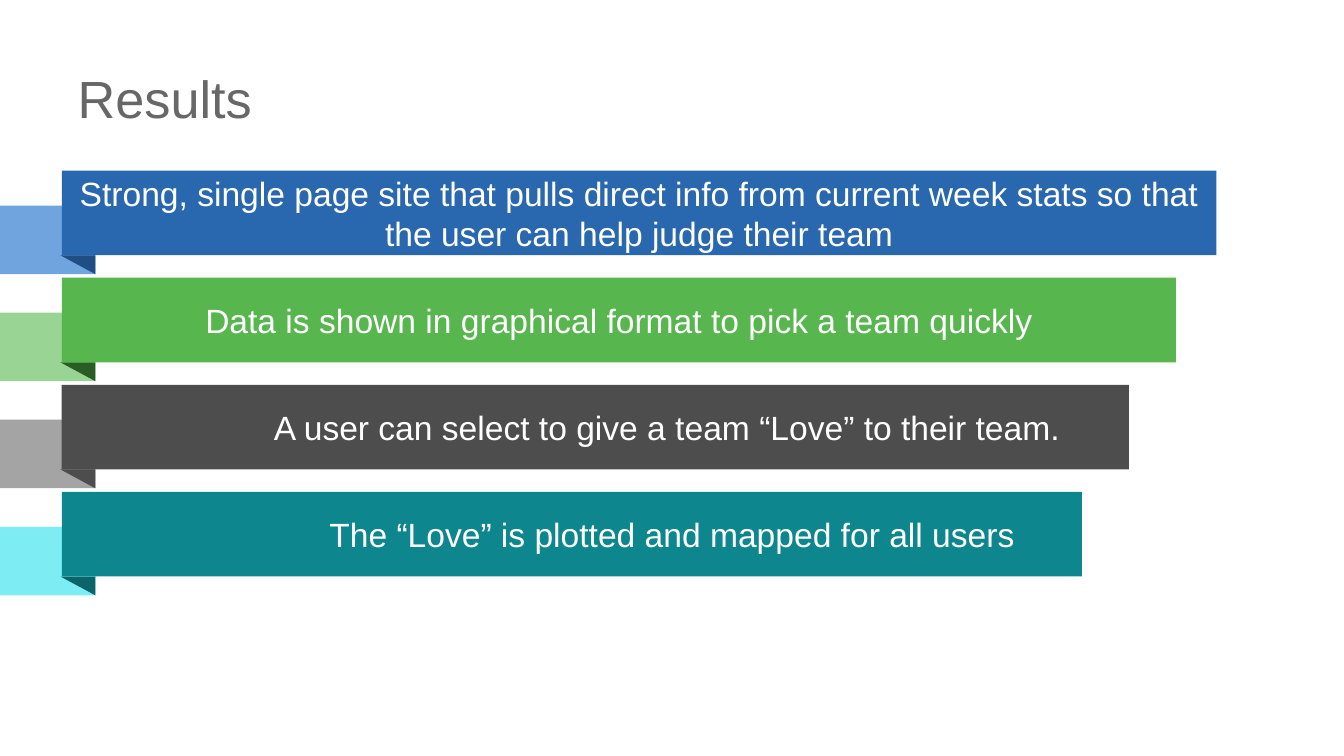
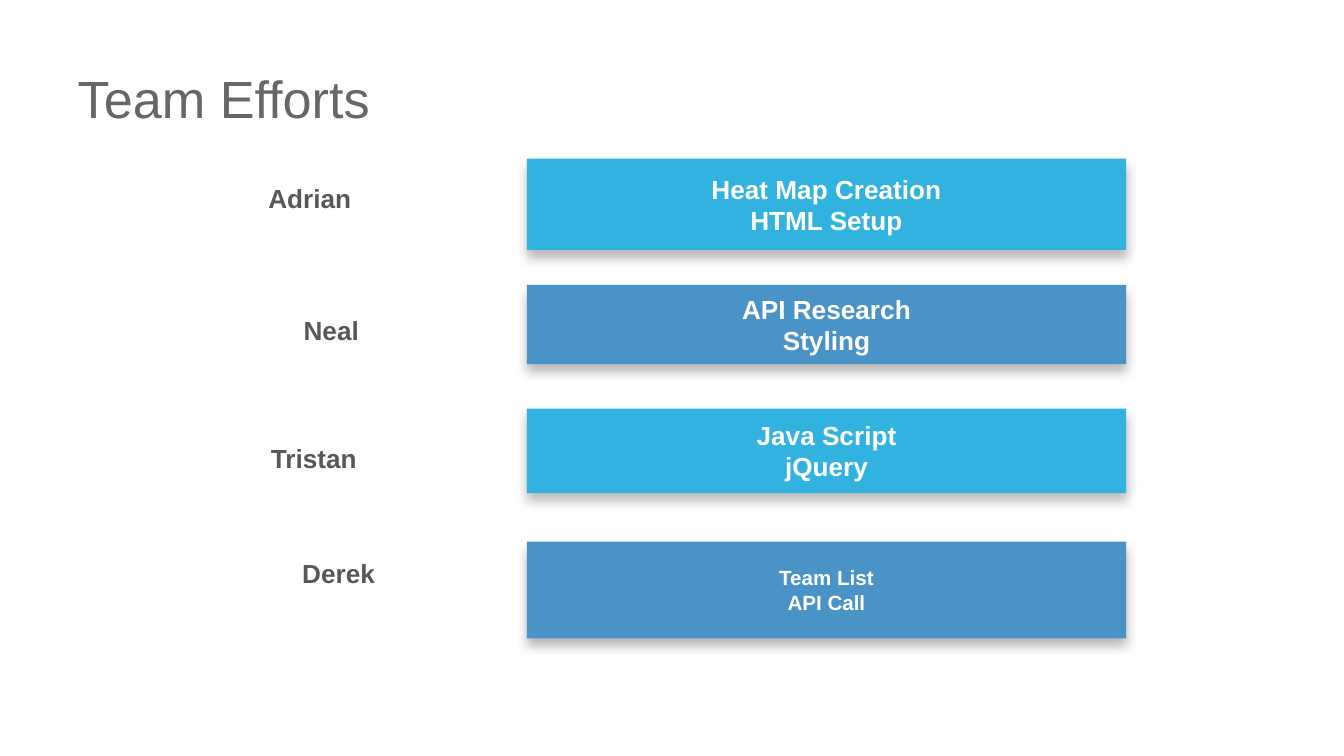
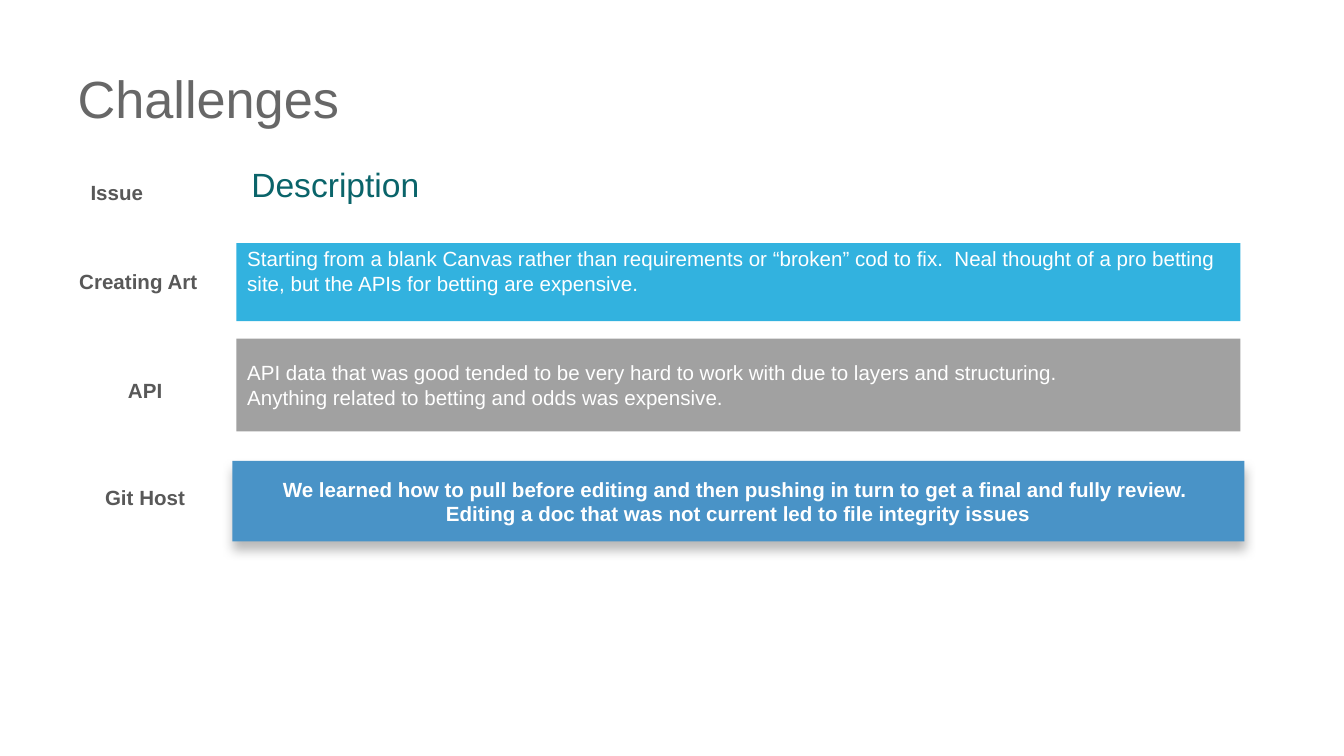
from lxml import etree
from pptx import Presentation
from pptx.dml.color import RGBColor
from pptx.enum import shapes as kinds, text as txt
from pptx.oxml import ns
from pptx.util import Inches, Pt

FONT = "Arial"
WHITE = RGBColor(0xFF, 0xFF, 0xFF)
TITLE_GREY = RGBColor(0x67, 0x67, 0x67)
LABEL_GREY = RGBColor(0x58, 0x58, 0x58)
PANEL_GREY = RGBColor(0xA1, 0xA1, 0xA1)
SKY = RGBColor(0x32, 0xB2, 0xDF)
STEEL = RGBColor(0x49, 0x93, 0xC7)
DARK_TEAL = RGBColor(0x0A, 0x64, 0x6A)
DARK_GREY = RGBColor(0x4D, 0x4D, 0x4D)

CENTER = txt.PP_ALIGN.CENTER
LEFT = txt.PP_ALIGN.LEFT
TOP = txt.MSO_ANCHOR.TOP
MIDDLE = txt.MSO_ANCHOR.MIDDLE
SNUG = (0.08, 0.04, 0.08, 0.04)


def add_block(shapes, box, fill, kind=kinds.MSO_SHAPE.RECTANGLE, shadow=False):
    """Add a borderless filled shape, with a soft drop shadow if asked."""
    block = shapes.add_shape(kind, *map(Inches, box))
    block.fill.solid()
    block.fill.fore_color.rgb = fill
    block.line.fill.background()
    block.shadow.inherit = False
    if shadow:
        effects = block._element.spPr.find(ns.qn("a:effectLst"))
        outer = etree.SubElement(effects, ns.qn("a:outerShdw"), blurRad=str(Pt(6)),
                                 dist=str(Pt(4)), dir="5400000", rotWithShape="0")
        black = etree.SubElement(outer, ns.qn("a:srgbClr"), val="000000")
        etree.SubElement(black, ns.qn("a:alpha"), val="27000")
    return block


def write(holder, text, size, color=WHITE, bold=False, align=CENTER, anchor=MIDDLE,
          insets=(0.1, 0.05, 0.1, 0.05), spacing=None):
    """Fill a shape or text box, one paragraph for each line of text."""
    frame = holder.text_frame
    frame.word_wrap = True
    frame.vertical_anchor = anchor
    (frame.margin_left, frame.margin_top,
     frame.margin_right, frame.margin_bottom) = map(Inches, insets)
    frame.text = text
    for paragraph in frame.paragraphs:
        paragraph.alignment = align
        if spacing:
            paragraph.line_spacing = spacing
        font = paragraph.runs[0].font
        font.name, font.size, font.bold = FONT, Pt(size), bold
        font.color.rgb = color


prs = Presentation()
prs.slide_width = Inches(10)
prs.slide_height = prs.slide_width * 9 // 16

pages = []
for title in ("Results", "Team Efforts", "Challenges"):
    page = prs.slides.add_slide(prs.slide_layouts[6]).shapes
    heading = page.add_textbox(*map(Inches, (0.48, 0.37, 9.13, 0.8)))
    write(heading, title, 28, TITLE_GREY, align=LEFT, spacing=0.8)
    pages.append(page)
results, efforts, challenges = pages

# Results: ribbons folded round the left edge
ribbons = [
    (8.59, RGBColor(0x29, 0x68, 0xAF), RGBColor(0x70, 0xA4, 0xDE), RGBColor(0x1F, 0x4E, 0x83),
     "Strong, single page site that pulls direct info from current week stats "
     "so that the user can help judge their team", 0.1),
    (8.29, RGBColor(0x57, 0xB7, 0x4E), RGBColor(0x9A, 0xD4, 0x95), RGBColor(0x2A, 0x5D, 0x26),
     "Data is shown in graphical format to pick a team quickly", 0.1),
    (7.94, DARK_GREY, RGBColor(0xA4, 0xA4, 0xA4), DARK_GREY,
     "A user can select to give a team “Love” to their team.", None),
    (7.59, RGBColor(0x0D, 0x86, 0x8E), RGBColor(0x7D, 0xEC, 0xF3), DARK_TEAL,
     "The “Love” is plotted and mapped for all users", 1.59),
]
first_top, last_top = 1.27, 3.66
for row, (width, front, tail, fold, finding, indent) in enumerate(ribbons):
    top = first_top + (last_top - first_top) * row / (len(ribbons) - 1)
    ribbon = results.add_group_shape().shapes
    add_block(ribbon, (0, top + 0.26, 0.71, 0.51), tail)
    corner = add_block(ribbon, (0.45, top + 0.63, 0.26, 0.14), fold,
                       kinds.MSO_SHAPE.RIGHT_TRIANGLE)
    corner.rotation = 180
    band = add_block(ribbon, (0.46, top, width, 0.63), front)
    if indent is None:
        caption = results.add_textbox(*map(Inches, (1.94, 2.98, 6.11, 0.4)))
        write(caption, finding, 18, align=LEFT, anchor=TOP)
    else:
        write(band, finding, 18, insets=(indent, 0.05, 0.1, 0.05))

# Team Efforts: member beside tasks
members = [
    ("Adrian", (1.64, 1.32, 1.33, 0.31), "Heat Map Creation\nHTML Setup", 1.18, 0.68, SKY, 14),
    ("Neal", (1.8, 2.3, 1.33, 0.31), "API Research\nStyling", 2.12, 0.59, STEEL, 14),
    ("Tristan", (1.67, 3.25, 1.33, 0.31), "Java Script\njQuery", 3.04, 0.63, SKY, 14),
    ("Derek", (1.99, 4.11, 1.06, 0.31), "Team List\nAPI Call", 4.03, 0.72, STEEL, 11),
]
for member, place, tasks, top, height, fill, size in members:
    name = efforts.add_textbox(*map(Inches, place))
    write(name, member, 14, LABEL_GREY, bold=True, anchor=TOP, insets=SNUG)
    panel = add_block(efforts, (3.92, top, 4.46, height), fill, shadow=True)
    write(panel, tasks, size, bold=True, insets=SNUG)

# Challenges: issue beside description
issues = [
    ("Issue", (0.3, 1.3, 1.14, 0.26)),
    ("Creating Art", (0.46, 1.96, 1.14, 0.26)),
    ("API", (0.55, 2.77, 1.06, 0.26)),
    ("Git Host", (0.55, 3.57, 1.06, 0.26)),
]
for issue, place in issues:
    label = challenges.add_textbox(*map(Inches, place))
    write(label, issue, 11, LABEL_GREY, bold=True, anchor=TOP, insets=SNUG)

description = challenges.add_textbox(*map(Inches, (1.79, 1.31, 2.29, 0.25)))
write(description, "Description", 18, DARK_TEAL, align=LEFT, anchor=TOP,
      insets=SNUG, spacing=0.5)

art = add_block(challenges, (1.76, 1.81, 7.47, 0.58), SKY)
write(art, "Starting from a blank Canvas rather than requirements or “broken” cod to fix.  "
      "Neal thought of a pro betting site, but the APIs for betting are expensive.",
      11, align=LEFT, anchor=TOP, insets=(0.08, 0.02, 0.08, 0.04))

api = add_block(challenges, (1.76, 2.52, 7.47, 0.69), PANEL_GREY)
write(api, "API data that was good tended to be very hard to work with due to layers "
      "and structuring.\nAnything related to betting and odds was expensive.",
      11, align=LEFT, insets=SNUG)

git = add_block(challenges, (1.73, 3.43, 7.53, 0.6), STEEL, shadow=True)
write(git, "We learned how to pull before editing and then pushing in turn to get a final "
      "and fully review.  Editing a doc that was not current led to file integrity issues",
      11, bold=True, insets=(0.2, 0.04, 0.2, 0.04))

prs.save("out.pptx")
